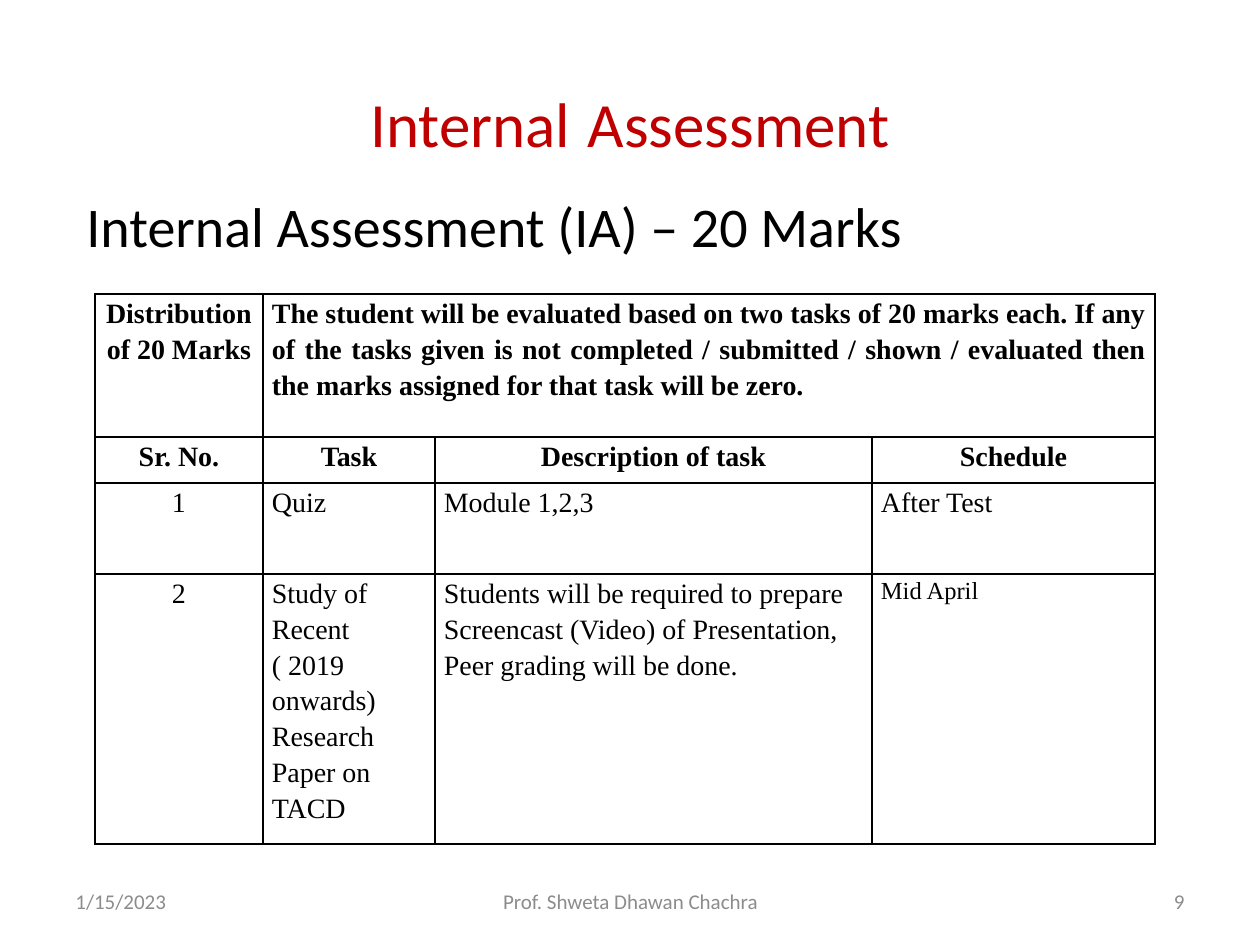
from lxml.etree import SubElement
from pptx import Presentation
from pptx.dml.color import RGBColor
from pptx.enum.text import MSO_ANCHOR, PP_ALIGN
from pptx.oxml.ns import qn
from pptx.util import Pt

PX = 914400 // 126
BLACK = RGBColor(0, 0, 0)
RED = RGBColor(0xC0, 0, 0)
GREY = RGBColor(0x8C, 0x8C, 0x8C)
LEFT, MID, RIGHT, FULL = (PP_ALIGN.LEFT, PP_ALIGN.CENTER,
                          PP_ALIGN.RIGHT, PP_ALIGN.JUSTIFY)

deck = Presentation()
deck.slide_width, deck.slide_height = 1260 * PX, 945 * PX
slide = deck.slides.add_slide(deck.slide_layouts[6])


def add_run(para, text, size, color=BLACK, face="Calibri", bold=False):
    run = para.add_run()
    run.text = text
    run.font.size = Pt(size)
    run.font.name = face
    run.font.bold = bold
    run.font.color.rgb = color


def add_box(left, top, width, height, align, anchor=MSO_ANCHOR.MIDDLE):
    """Add an empty text box and return its first paragraph."""
    box = slide.shapes.add_textbox(left * PX, top * PX, width * PX, height * PX)
    frame = box.text_frame
    frame.word_wrap = True
    frame.vertical_anchor = anchor
    para = frame.paragraphs[0]
    para.alignment = align
    return para


# Title and subtitle
title = add_box(63, 38, 1134, 157, MID)
add_run(title, "Internal", 36, RED)
add_run(title, " ", 44, bold=True)
add_run(title, "Assessment", 36, RED)

head = add_box(74, 185, 1134, 624, LEFT, MSO_ANCHOR.TOP)
head.space_before = Pt(2)
add_run(head, "Internal Assessment (IA) – 20 Marks", 32)

# Marks table
COLS = [168, 172, 437, 283]
ROWS = [143, 46, 91, 257]
CELLS = [
    ["Distribution of 20 Marks",
     "The student will be evaluated based on two tasks of 20 marks each. "
     "If any of the tasks given is not completed / submitted / shown / "
     "evaluated then the marks assigned for that task will be zero."],
    ["Sr. No.", "Task", "Description of task", "Schedule"],
    ["1", "Quiz", "Module 1,2,3", "After Test"],
    ["2", "Study of Recent ( 2019 onwards) Research Paper on TACD",
     "Students will be required to prepare Screencast (Video) of "
     "Presentation, Peer grading will be done.", "Mid April"],
]

table = slide.shapes.add_table(
    len(ROWS), len(COLS), 95 * PX, 294 * PX, sum(COLS) * PX, sum(ROWS) * PX).table
table.first_row = table.horz_banding = False
for col, width in zip(table.columns, COLS):
    col.width = width * PX
for row, height in zip(table.rows, ROWS):
    row.height = height * PX
table.cell(0, 1).merge(table.cell(0, 3))

for cell in table.iter_cells():
    cell.margin_left = cell.margin_right = 9 * PX
    cell.margin_top = cell.margin_bottom = 0
    props = cell._tc.get_or_add_tcPr()
    for side in ("a:lnL", "a:lnR", "a:lnT", "a:lnB"):
        line = SubElement(props, qn(side), w=str(Pt(1)))
        fill = SubElement(line, qn("a:solidFill"))
        SubElement(fill, qn("a:srgbClr"), val=str(BLACK))
    cell.fill.background()

for r, texts in enumerate(CELLS):
    for c, text in enumerate(texts):
        para = table.cell(r, c).text_frame.paragraphs[0]
        para.line_spacing = 1.15
        para.alignment = MID if c == 0 or r == 1 else FULL if r == 0 else LEFT
        size = 14 if text == "Mid April" else 16
        add_run(para, text, size, face="Times New Roman", bold=r < 2)

# Footer
for left, width, align, text in [
    (63, 294, LEFT, "1/15/2023"),
    (431, 399, MID, "Prof. Shweta Dhawan Chachra"),
    (903, 294, RIGHT, "9"),
]:
    add_run(add_box(left, 876, width, 50, align), text, 12, GREY)

deck.save("out.pptx")
